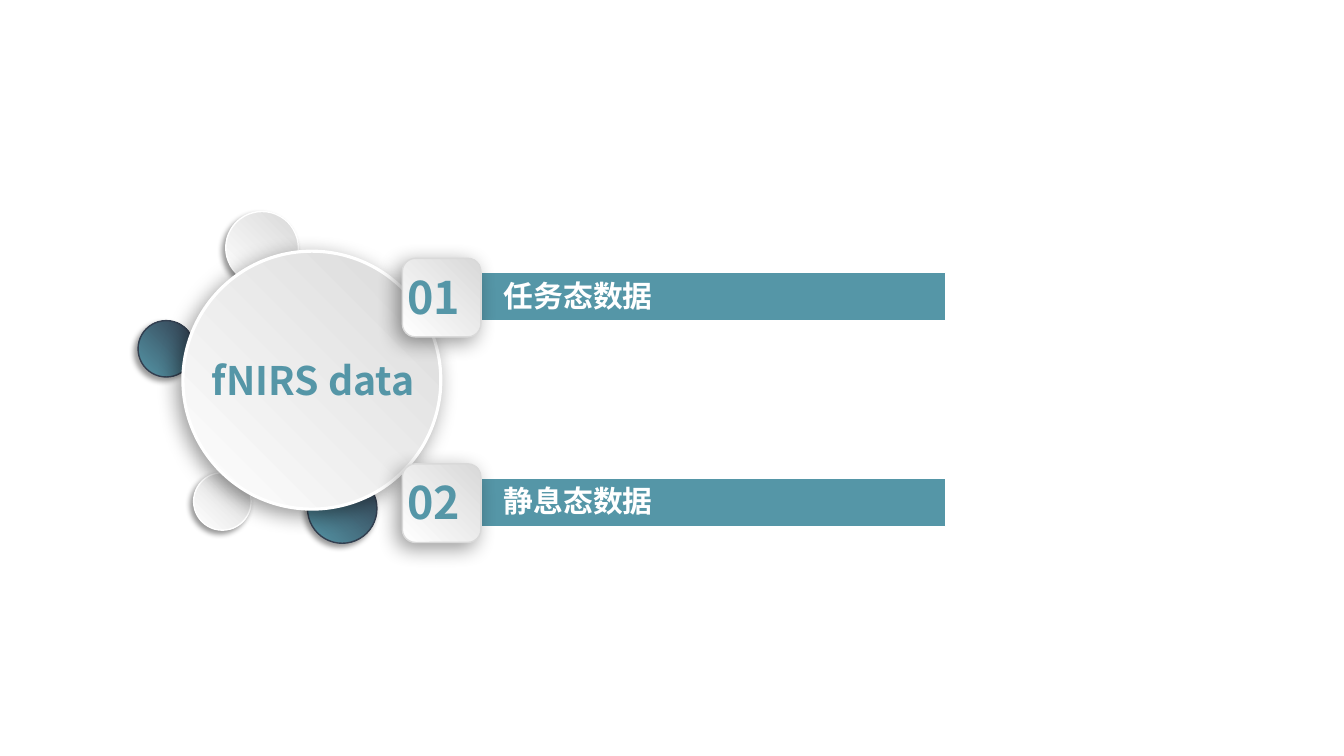
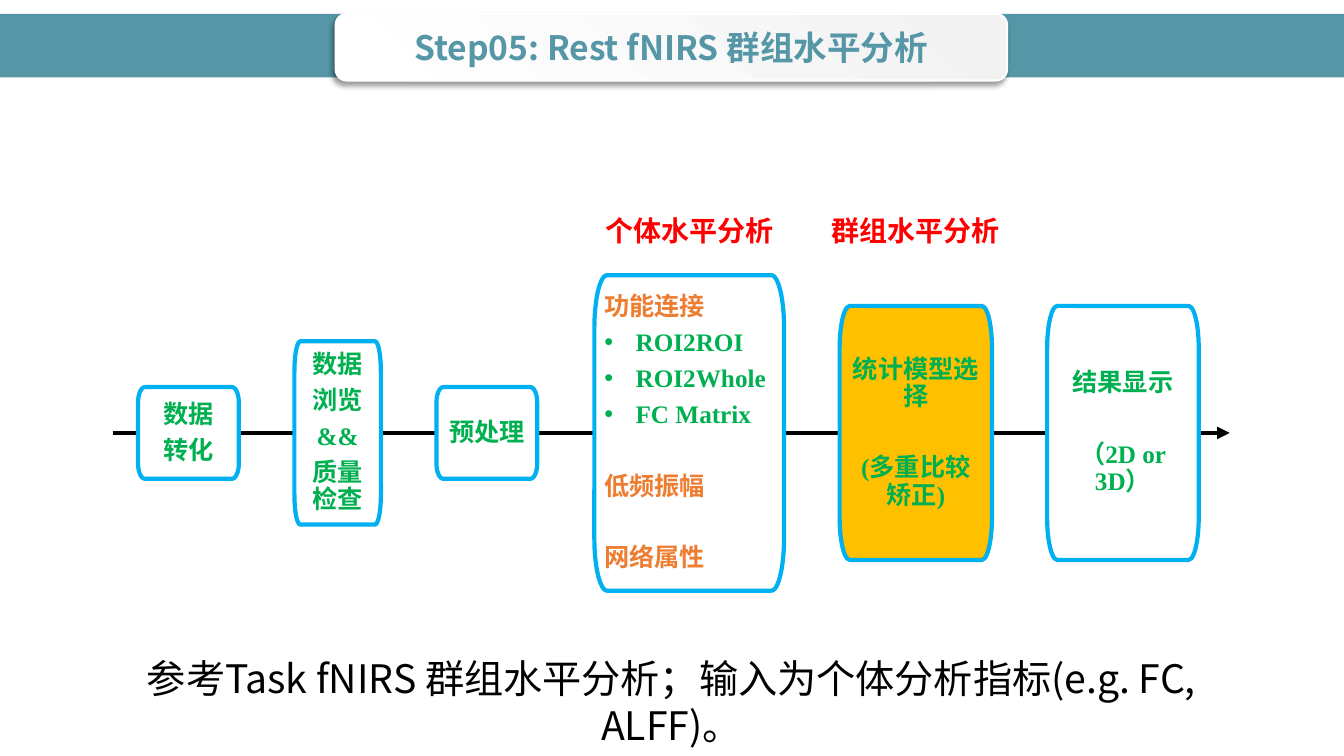
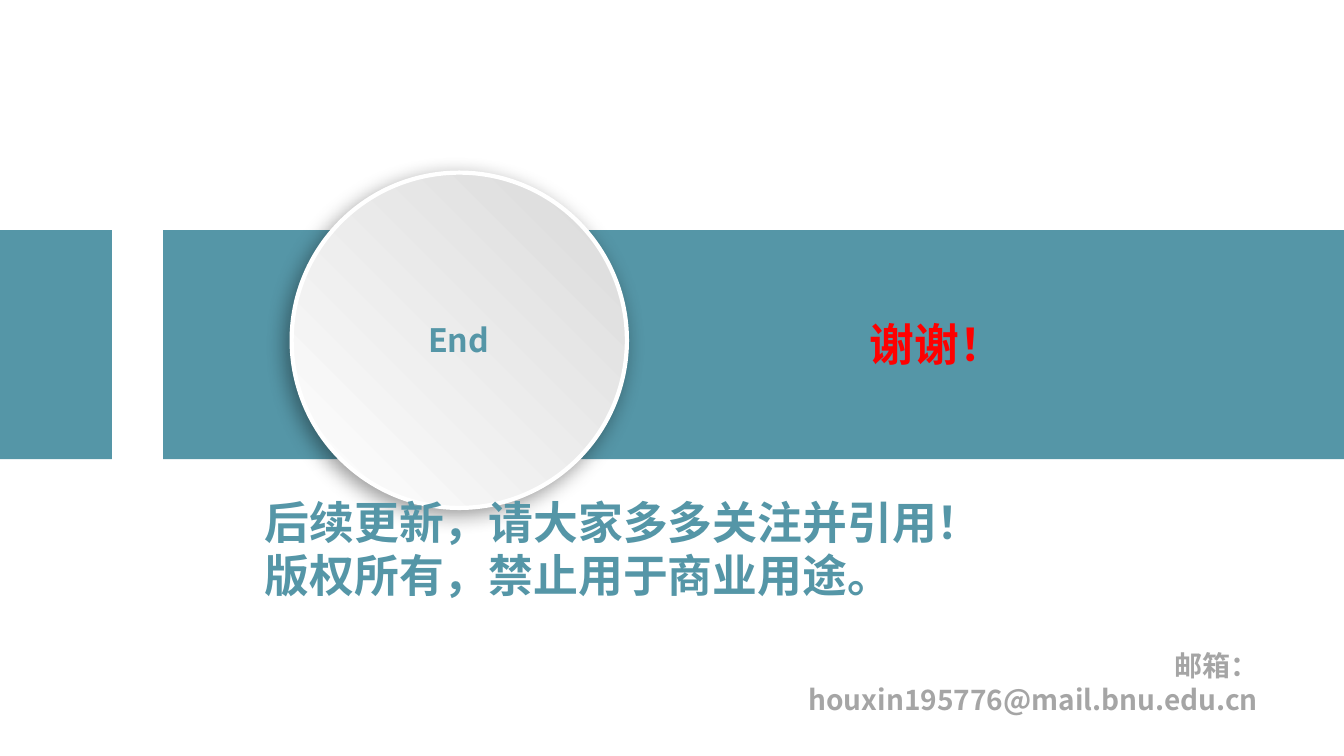
from lxml import etree
from pptx import Presentation
from pptx.dml.color import RGBColor
from pptx.enum.shapes import MSO_CONNECTOR, MSO_SHAPE
from pptx.enum.text import MSO_ANCHOR, MSO_AUTO_SIZE, PP_ALIGN
from pptx.oxml.ns import qn
from pptx.util import Cm, Pt

RECTANGLE = MSO_SHAPE.RECTANGLE
ROUNDED = MSO_SHAPE.ROUNDED_RECTANGLE
OVAL = MSO_SHAPE.OVAL
STRAIGHT = MSO_CONNECTOR.STRAIGHT
TOP, MIDDLE, BOTTOM = MSO_ANCHOR.TOP, MSO_ANCHOR.MIDDLE, MSO_ANCHOR.BOTTOM
LEFT, CENTER, RIGHT = PP_ALIGN.LEFT, PP_ALIGN.CENTER, PP_ALIGN.RIGHT
GROW = MSO_AUTO_SIZE.SHAPE_TO_FIT_TEXT

COLORS = {
    "teal": "5596A7", "navy": "333F50", "white": "FFFFFF", "silver": "D9D9D9",
    "pale": "F2F2F2", "black": "000000", "red": "FF0000", "sky": "00B0F0",
    "green": "00B050", "orange": "ED7D31", "amber": "FFC000", "gray": "A5A5A5",
}
SANS = "Noto Sans CJK SC"
SERIF = "Times New Roman"
SLIDE_WIDTH, SLIDE_HEIGHT = 33.87, 19.05
DEGREE = 60000
LIGHT = ("white", "silver")
DARK = ("teal", "navy")
SOFT_SHADOW = (15, 5)
TIGHT_SHADOW = (4, 3)


def rgb(name):
    return RGBColor.from_string(COLORS[name])


def add_run(paragraph, text, size, color, font=SANS, bold=True):
    run = paragraph.add_run()
    run.text = text
    run.font.name = font
    run.font.size = Pt(size)
    run.font.bold = bold
    run.font.color.rgb = rgb(color)
    east_asian = etree.SubElement(run.font._element, qn("a:ea"))
    east_asian.set("typeface", SANS)


def add_text(slide, box, lines, size, color, align=LEFT, anchor=TOP,
             wrap=True, font=SANS, bold=True):
    shape = slide.shapes.add_textbox(*map(Cm, box))
    frame = shape.text_frame
    frame.word_wrap = wrap
    frame.auto_size = GROW
    frame.vertical_anchor = anchor
    for index, line in enumerate(lines):
        paragraph = frame.paragraphs[0] if index == 0 else frame.add_paragraph()
        paragraph.alignment = align
        add_run(paragraph, line, size, color, font, bold)


def set_outline(shape, color, width):
    shape.line.color.rgb = rgb(color)
    shape.line.width = Pt(width)


def add_block(slide, kind, box, color):
    shape = slide.shapes.add_shape(kind, *map(Cm, box))
    shape.shadow.inherit = False
    shape.fill.solid()
    shape.fill.fore_color.rgb = rgb(color)
    shape.line.fill.background()
    return shape


def add_raised(slide, kind, box, gradient, outline, width, shadow):
    """Add a shape lit from the lower left; shadow is (blur, distance) in points."""
    shape = add_block(slide, kind, box, gradient[0])
    shape.fill.gradient()
    shape.fill.gradient_angle = 45
    for stop, color in zip(shape.fill.gradient_stops, gradient):
        stop.color.rgb = rgb(color)
    set_outline(shape, outline, width)
    blur, distance = shadow
    effects = shape._element.spPr.find(qn("a:effectLst"))
    outer = etree.SubElement(
        effects, qn("a:outerShdw"), blurRad=str(Pt(blur)), dist=str(Pt(distance)),
        dir=str(135 * DEGREE), algn="tr", rotWithShape="0")
    shade = etree.SubElement(outer, qn("a:srgbClr"), val=COLORS["black"])
    etree.SubElement(shade, qn("a:alpha"), val="40000")


def add_circle_cluster(slide, left, top):
    satellites = [
        (1.4, 6.58, 1.45, LIGHT), (4.27, 6.61, 1.75, DARK),
        (2.21, 0, 1.83, LIGHT), (0, 2.75, 1.42, DARK),
    ]
    for x, y, size, gradient in satellites:
        outline = "white" if gradient is LIGHT else "navy"
        add_raised(slide, OVAL, (left + x, top + y, size, size),
                   gradient, outline, 1, TIGHT_SHADOW)
    add_raised(slide, OVAL, (left + 1.13, top + 1, 6.5, 6.5),
               LIGHT, "white", 2.25, SOFT_SHADOW)
    add_text(slide, (left + 1.61, top + 3.52, 6.05, 1.45), ["fNIRS data"], 28, "teal")


def add_agenda_item(slide, left, top, number, title):
    bar = add_block(slide, RECTANGLE, (left + 1.98, top + 0.36, 11.71, 1.22), "teal")
    set_outline(bar, "white", 1.25)
    add_text(slide, (left + 2.31, top + 0.36, 10.5, 1.17), [title], 21.3, "white")
    add_raised(slide, ROUNDED, (left, top, 1.98, 1.98),
               LIGHT, "silver", 1, SOFT_SHADOW)
    add_text(slide, (left - 0.13, top + 0.15, 2.21, 1.63), [number], 32, "teal")


def add_title_band(slide, title):
    top = 0.35
    add_block(slide, RECTANGLE, (0, top, SLIDE_WIDTH, 1.6), "teal")
    add_raised(slide, ROUNDED, (8.46, top, 16.92, 1.68),
               ("white", "pale"), "white", 1.5, TIGHT_SHADOW)
    add_text(slide, (8.7, top + 0.2, 16.43, 1.27), [title], 24, "teal", CENTER)


def add_arrow(slide, left, right, y):
    connector = slide.shapes.add_connector(STRAIGHT, Cm(left), Cm(y), Cm(right), Cm(y))
    set_outline(connector, "black", 3)
    etree.SubElement(connector.line._get_or_add_ln(), qn("a:tailEnd"), type="triangle")
    etree.SubElement(connector._element.spPr, qn("a:effectLst"))


def add_soft_box(slide, left, top, width, height):
    """Add a box whose corners are quarter ellipses, narrower than tall."""
    radius_x, radius_y = Cm(width / 15), Cm(height / 6)
    x1, y1, x2, y2 = map(Cm, (left, top, left + width, top + height))
    builder = slide.shapes.build_freeform(x1, y1 + radius_y)
    builder.add_line_segments([
        (x1 + radius_x, y1), (x2 - radius_x, y1),
        (x2, y1 + radius_y), (x2, y2 - radius_y),
        (x2 - radius_x, y2), (x1 + radius_x, y2),
        (x1, y2 - radius_y),
    ], close=True)
    shape = builder.convert_to_shape()
    corners = list(shape._element.iter(qn("a:lnTo")))[::2]
    for corner, start in zip(corners, (180, 270, 0, 90)):
        arc = etree.Element(qn("a:arcTo"), wR=str(radius_x), hR=str(radius_y),
                            stAng=str(start * DEGREE), swAng=str(90 * DEGREE))
        corner.getparent().replace(corner, arc)
    return shape


def add_step(slide, box, lines, fill="white", align=CENTER):
    """Add a flow step; each line is (text, colour, bulleted, space before)."""
    shape = add_soft_box(slide, *box)
    shape.shadow.inherit = False
    shape.fill.solid()
    shape.fill.fore_color.rgb = rgb(fill)
    set_outline(shape, "sky", 3)
    frame = shape.text_frame
    frame.word_wrap = True
    frame.vertical_anchor = MIDDLE
    frame.margin_left = frame.margin_right = Cm(0.25)
    frame.margin_top = frame.margin_bottom = Cm(0.25)
    for index, (text, color, bulleted, before) in enumerate(lines):
        paragraph = frame.paragraphs[0] if index == 0 else frame.add_paragraph()
        if bulleted:
            properties = paragraph._p.get_or_add_pPr()
            properties.set("marL", str(Cm(0.79)))
            properties.set("indent", str(-Cm(0.79)))
            etree.SubElement(properties, qn("a:buFont"), typeface="Arial")
            etree.SubElement(properties, qn("a:buChar"), char="•")
        paragraph.alignment = align
        paragraph.line_spacing = 0.9
        if before:
            paragraph.space_before = Pt(before)
        paragraph.space_after = Pt(6.3)
        add_run(paragraph, text, 18, color, SERIF)


def add_flow(slide, left, middle):
    """Add the analysis steps, all centred on the height of the arrow."""
    gap = 25.5

    def plain(*texts):
        return [(text, "green", False, 0) for text in texts]

    def spaced(first, second):
        return [(first, "green", False, 0), (second, "green", False, gap)]

    analyses = [("功能连接", "orange", False, 0)]
    analyses += [(text, "green", True, 0) for text in ("ROI2ROI", "ROI2Whole", "FC Matrix")]
    analyses += [(text, "orange", False, gap) for text in ("低频振幅", "网络属性")]
    steps = [
        (0.64, 2.54, 2.31, plain("数据", "转化"), "white", CENTER, None),
        (4.58, 2.18, 4.62, plain("数据", "浏览", "&&", "质量检查"), "white", CENTER, None),
        (8.16, 2.54, 2.31, plain("预处理"), "white", CENTER, None),
        (12.14, 4.78, 7.95, analyses, "white", LEFT, "个体水平分析"),
        (18.32, 3.84, 6.4, spaced("统计模型选择", "(多重比较矫正)"), "amber", CENTER,
         "群组水平分析"),
        (23.55, 3.82, 6.4, spaced("结果显示", "（2D or 3D）"), "white", CENTER, None),
    ]
    add_arrow(slide, left, left + 28.15, middle)
    label_width = 4.78
    for x, width, height, lines, fill, align, label in steps:
        add_step(slide, (left + x, middle - height / 2, width, height), lines, fill, align)
        if label:
            label_left = left + x + (width - label_width) / 2
            add_text(slide, (label_left, middle - 5.65, label_width, 1.12), [label],
                     20, "red", CENTER, wrap=False, font=SERIF)


def add_closing_band(slide, top):
    height = 5.77
    add_block(slide, RECTANGLE, (0, top, 2.82, height), "teal")
    add_block(slide, RECTANGLE, (4.11, top, SLIDE_WIDTH - 4.11, height), "teal")
    add_raised(slide, OVAL, (7.35, top - 1.45, 8.45, 8.45),
               LIGHT, "white", 3, SOFT_SHADOW)
    add_text(slide, (10.54, top + 2.14, 2.06, 1.24), ["End"], 23, "teal", wrap=False)
    add_text(slide, (21.67, top + 2.06, 3.94, 1.63), ["谢谢！"], 32, "red", wrap=False)


def build_agenda(slide):
    add_circle_cluster(slide, 3.48, 5.33)
    items = [("01", "任务态数据"), ("02", "静息态数据")]
    for index, (number, title) in enumerate(items):
        add_agenda_item(slide, 10.14, 6.51 + index * 5.18, number, title)


def build_workflow(slide):
    add_title_band(slide, "Step05: Rest fNIRS 群组水平分析")
    add_flow(slide, 2.84, 10.91)
    note = "参考Task fNIRS 群组水平分析；输入为个体分析指标(e.g. FC, ALFF)。"
    add_text(slide, (1.83, 16.36, 30.18, 1.45), [note], 28, "black", CENTER, bold=False)


def build_closing(slide):
    add_closing_band(slide, 5.8)
    add_text(slide, (6.42, 12.29, 18.75, 3),
             ["后续更新，请大家多多关注并引用！", "版权所有，禁止用于商业用途。"],
             32, "teal", anchor=BOTTOM, wrap=False)
    add_text(slide, (18.78, 16.22, 13.18, 1.12),
             ["邮箱：houxin195776@mail.bnu.edu.cn"], 20, "gray", RIGHT)


def main():
    presentation = Presentation()
    presentation.slide_width = Cm(SLIDE_WIDTH)
    presentation.slide_height = Cm(SLIDE_HEIGHT)
    blank = presentation.slide_layouts[6]
    for build in (build_agenda, build_workflow, build_closing):
        build(presentation.slides.add_slide(blank))
    presentation.save("out.pptx")


if __name__ == "__main__":
    main()
